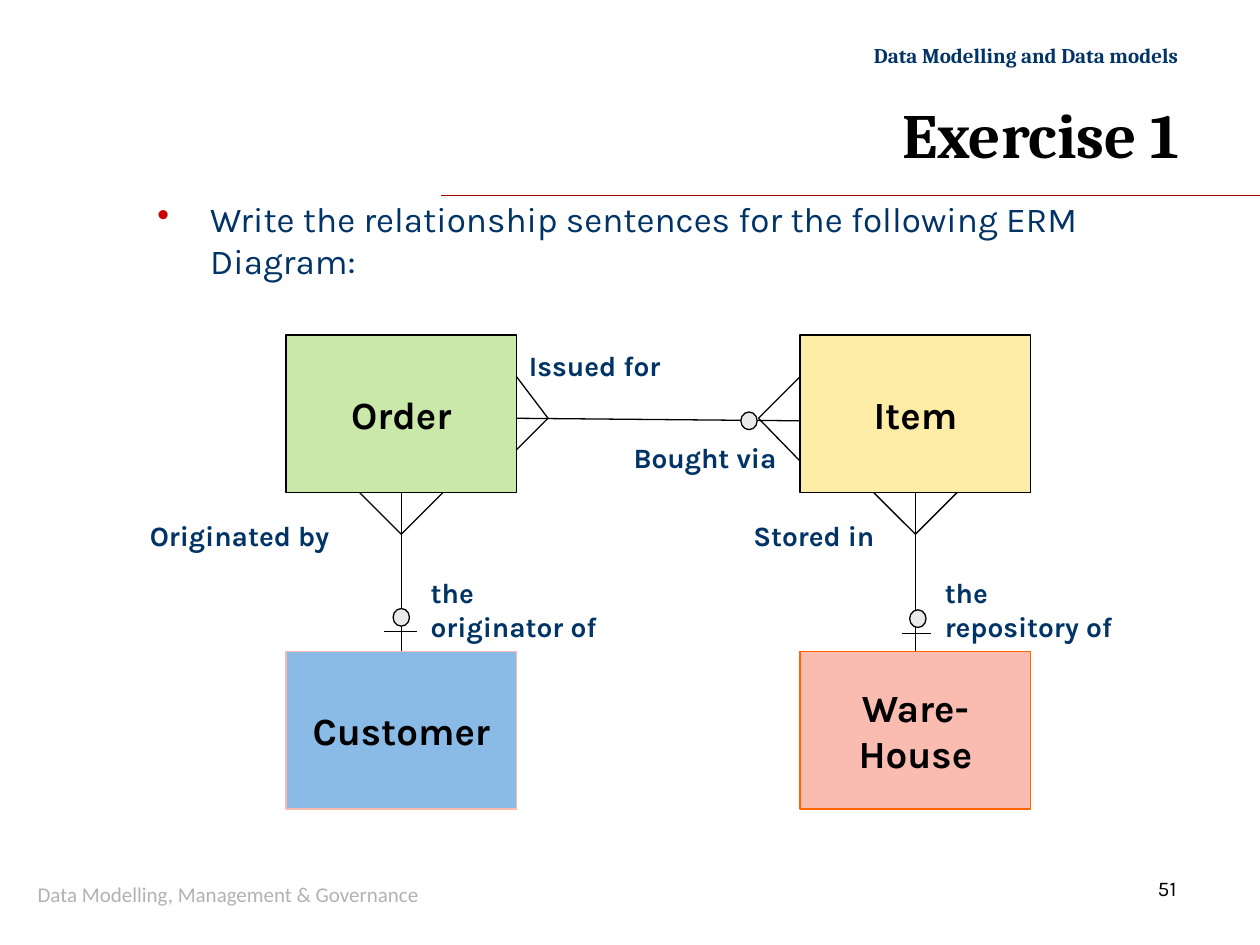
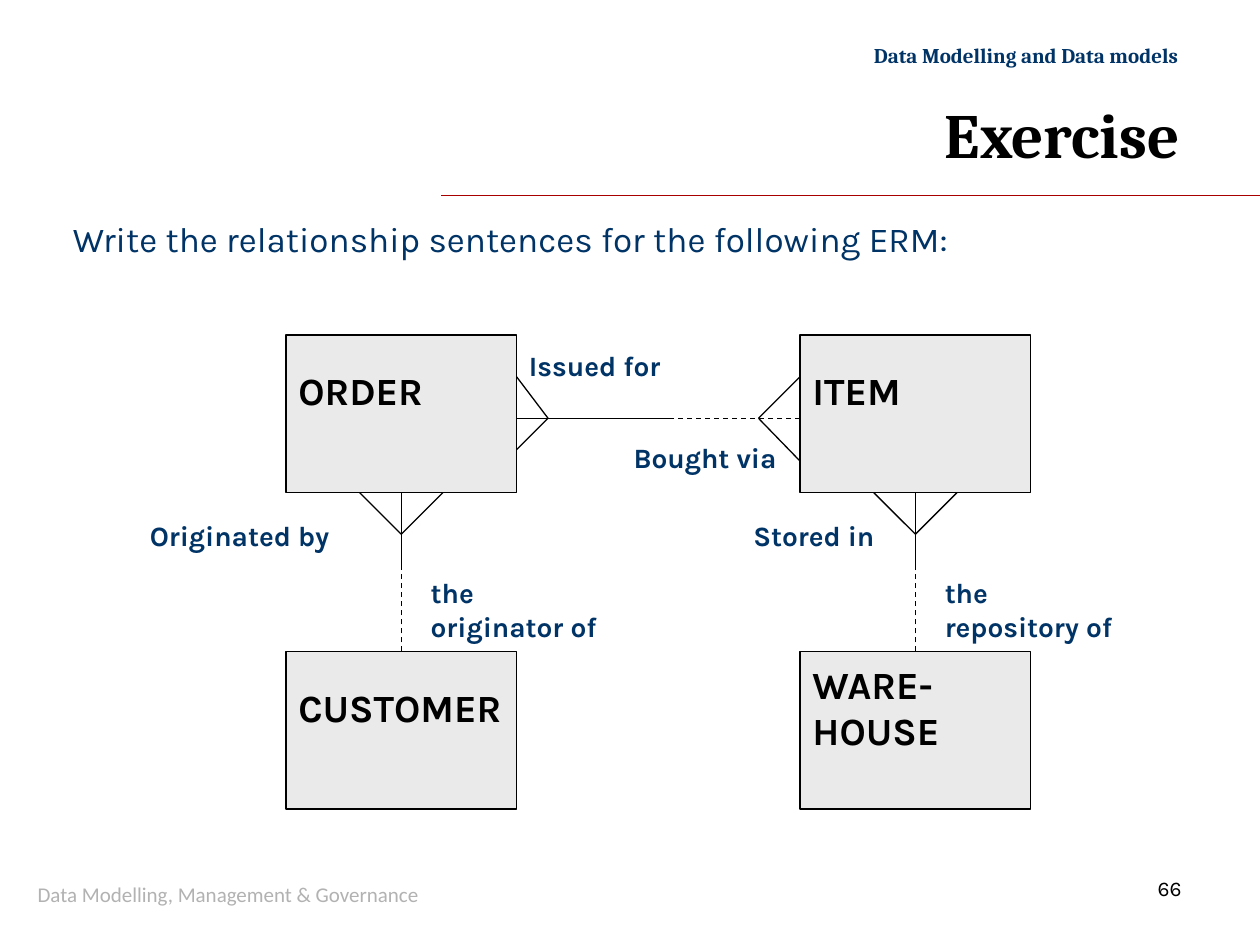
from lxml import etree
from pptx import Presentation, util as u
from pptx.dml.color import RGBColor
from pptx.enum import dml, shapes, text
from pptx.oxml import ns

NAVY, BLACK, GREY = "003366", "000000", "EAEAEA"
RULE_RED, BULLET_RED, FOOTER_GREY = "A80000", "CC0000", "B2B2B2"
LEFT, CENTER, RIGHT = text.PP_ALIGN.LEFT, text.PP_ALIGN.CENTER, text.PP_ALIGN.RIGHT
TOP, MIDDLE = text.MSO_ANCHOR.TOP, text.MSO_ANCHOR.MIDDLE
color = RGBColor.from_string


def write_text(shape, content, size, font="Karla", ink=NAVY, bold=False, align=LEFT, anchor=TOP):
    frame = shape.text_frame
    frame.text = content
    frame.word_wrap = True
    frame.vertical_anchor = anchor
    for paragraph in frame.paragraphs:
        paragraph.alignment = align
        for run in paragraph.runs:
            run.font.size = u.Pt(size)
            run.font.name = font
            run.font.bold = bold
            run.font.color.rgb = color(ink)
    return frame


def draw_line(slide, x1, y1, x2, y2, ink=BLACK, dashed=False):
    line = slide.shapes.add_connector(
        shapes.MSO_CONNECTOR.STRAIGHT, u.Inches(x1), u.Inches(y1), u.Inches(x2), u.Inches(y2))
    line.line.color.rgb = color(ink)
    line.line.width = u.Pt(0.75)
    if dashed:
        line.line.dash_style = dml.MSO_LINE.DASH
    etree.SubElement(line._element.spPr, ns.qn("a:effectLst"))
    return line


BOX_WIDTH, BOX_HEIGHT = 1.83, 1.25
COLUMNS = (2.27, 6.35)
ROWS = (2.66, 5.17)
ORDER_RIGHT, ITEM_LEFT = COLUMNS[0] + BOX_WIDTH, COLUMNS[1]
UPPER_BOTTOM, LOWER_TOP = ROWS[0] + BOX_HEIGHT, ROWS[1]
CENTERS = [left + BOX_WIDTH / 2 for left in COLUMNS]
LINK_Y, FOOT_Y, DASH_Y = 3.32, 4.24, 4.49

RELATIONSHIPS = [
    ("Issued for", 4.1, 2.72, 1.34, 0.37),
    ("Bought via", 4.93, 3.45, 1.4, 0.37),
    ("Originated by", 1.09, 4.07, 1.72, 0.37),
    ("the\noriginator of", 3.32, 4.52, 1.6, 0.64),
    ("Stored in", 5.88, 4.07, 1.22, 0.37),
    ("the\nrepository of", 7.4, 4.52, 1.63, 0.64),
]

EXERCISES = [
    {
        "title": "Exercise 1", "page": "51", "task_at": (1.15, 1.52), "symbols": True,
        "task": "Write the relationship sentences for the following ERM Diagram:",
        "entities": [("Order", "CAE8A9", BLACK), ("Item", "FDECA5", BLACK),
                     ("Customer", "8ABBE7", "FABBB0"), ("Ware-\nHouse", "FABBB0", "FF6600")],
    },
    {
        "title": "Exercise", "page": "66", "task_at": (0.48, 1.68), "symbols": False,
        "task": "Write the relationship sentences for the following ERM:",
        "entities": [(name, GREY, BLACK) for name in ("ORDER", "ITEM", "CUSTOMER", "WARE-\nHOUSE")],
    },
]

presentation = Presentation()
presentation.slide_width = u.Inches(10)
presentation.slide_height = u.Inches(7.5)

for exercise in EXERCISES:
    slide = presentation.slides.add_slide(presentation.slide_layouts[6])
    symbols = exercise["symbols"]

    draw_line(slide, 3.5, 1.55, 10, 1.55, RULE_RED)
    for content, left, top, width, height, style in [
        ("Data Modelling and Data models", 6.75, 0.29, 2.7, 0.3,
         {"size": 12, "font": "Cambria", "bold": True, "align": RIGHT}),
        (exercise["page"], 9.09, 6.9, 0.63, 0.3, {"size": 12, "ink": BLACK}),
        (exercise["title"], 1.79, 0.68, 7.67, 0.75,
         {"size": 36, "font": "Cambria", "ink": BLACK, "bold": True, "align": RIGHT, "anchor": MIDDLE}),
        ("Data Modelling, Management & Governance", 0.2, 6.9, 4.41, 0.4,
         {"size": 12, "font": "Calibri", "ink": FOOTER_GREY, "anchor": MIDDLE}),
    ]:
        box = slide.shapes.add_textbox(u.Inches(left), u.Inches(top), u.Inches(width), u.Inches(height))
        write_text(box, content, **style)

    left, top = exercise["task_at"]
    task_box = slide.shapes.add_textbox(u.Inches(left), u.Inches(top), u.Inches(8.58), u.Inches(0.48))
    paragraph = write_text(task_box, exercise["task"], 20).paragraphs[0]
    paragraph.space_before = u.Pt(4)
    if symbols:
        properties = paragraph._p.get_or_add_pPr()
        properties.set("marL", str(u.Inches(0.42)))
        properties.set("indent", str(-u.Inches(0.42)))
        bullet_color = etree.SubElement(properties, ns.qn("a:buClr"))
        etree.SubElement(bullet_color, ns.qn("a:srgbClr"), val=BULLET_RED)
        etree.SubElement(properties, ns.qn("a:buChar"), char="•")

    entities = []
    for index, (name, fill, outline) in enumerate(exercise["entities"]):
        entity = slide.shapes.add_shape(
            shapes.MSO_SHAPE.RECTANGLE, u.Inches(COLUMNS[index % 2]), u.Inches(ROWS[index // 2]),
            u.Inches(BOX_WIDTH), u.Inches(BOX_HEIGHT))
        entity.shadow.inherit = False
        entity.fill.solid()
        entity.fill.fore_color.rgb = color(fill)
        entity.line.color.rgb = color(outline)
        entity.line.width = u.Pt(0.75)
        frame = write_text(entity, name, 22, ink=BLACK, bold=True,
                           align=CENTER if symbols else LEFT, anchor=MIDDLE)
        if not symbols:
            frame.margin_right = 0
            frame.margin_bottom = u.Inches(0.42)
        entities.append(entity)

    if symbols:
        draw_line(slide, ITEM_LEFT, 3.34, ORDER_RIGHT, LINK_Y)
    else:
        draw_line(slide, ITEM_LEFT, LINK_Y, 5.35, LINK_Y, dashed=True)
        draw_line(slide, 5.35, LINK_Y, ORDER_RIGHT, LINK_Y)
    for tip, side, end in [(4.35, ORDER_RIGHT, 2.99), (4.35, ORDER_RIGHT, 3.57),
                           (6.02, ITEM_LEFT, 2.99), (6.02, ITEM_LEFT, 3.66)]:
        draw_line(slide, tip, LINK_Y, side, end)

    for center, upper, lower in zip(CENTERS, entities[:2], entities[2:]):
        solid_end = LOWER_TOP if symbols else DASH_Y
        stem = draw_line(slide, center, solid_end, center, UPPER_BOTTOM)
        stem.end_connect(upper, 2)
        if not symbols:
            stem = draw_line(slide, center, LOWER_TOP, center, DASH_Y, dashed=True)
        stem.begin_connect(lower, 0)
        for spread in (-0.33, 0.33):
            draw_line(slide, center, FOOT_Y, center + spread, UPPER_BOTTOM)

    for content, left, top, width, height in RELATIONSHIPS:
        label = slide.shapes.add_textbox(u.Inches(left), u.Inches(top), u.Inches(width), u.Inches(height))
        write_text(label, content, 16, bold=True)

    if symbols:
        for left, top in [(5.88, 3.27), (3.12, 4.83), (7.22, 4.84)]:
            circle = slide.shapes.add_shape(
                shapes.MSO_SHAPE.FLOWCHART_CONNECTOR, u.Inches(left), u.Inches(top),
                u.Inches(0.13), u.Inches(0.14))
            circle.shadow.inherit = False
            circle.fill.solid()
            circle.fill.fore_color.rgb = color(GREY)
            circle.line.color.rgb = color(BLACK)
            circle.line.width = u.Pt(0.75)
        draw_line(slide, 3.05, 5.01, 3.31, 5.01)
        draw_line(slide, 7.16, 5.03, 7.39, 5.03)

presentation.save("out.pptx")
